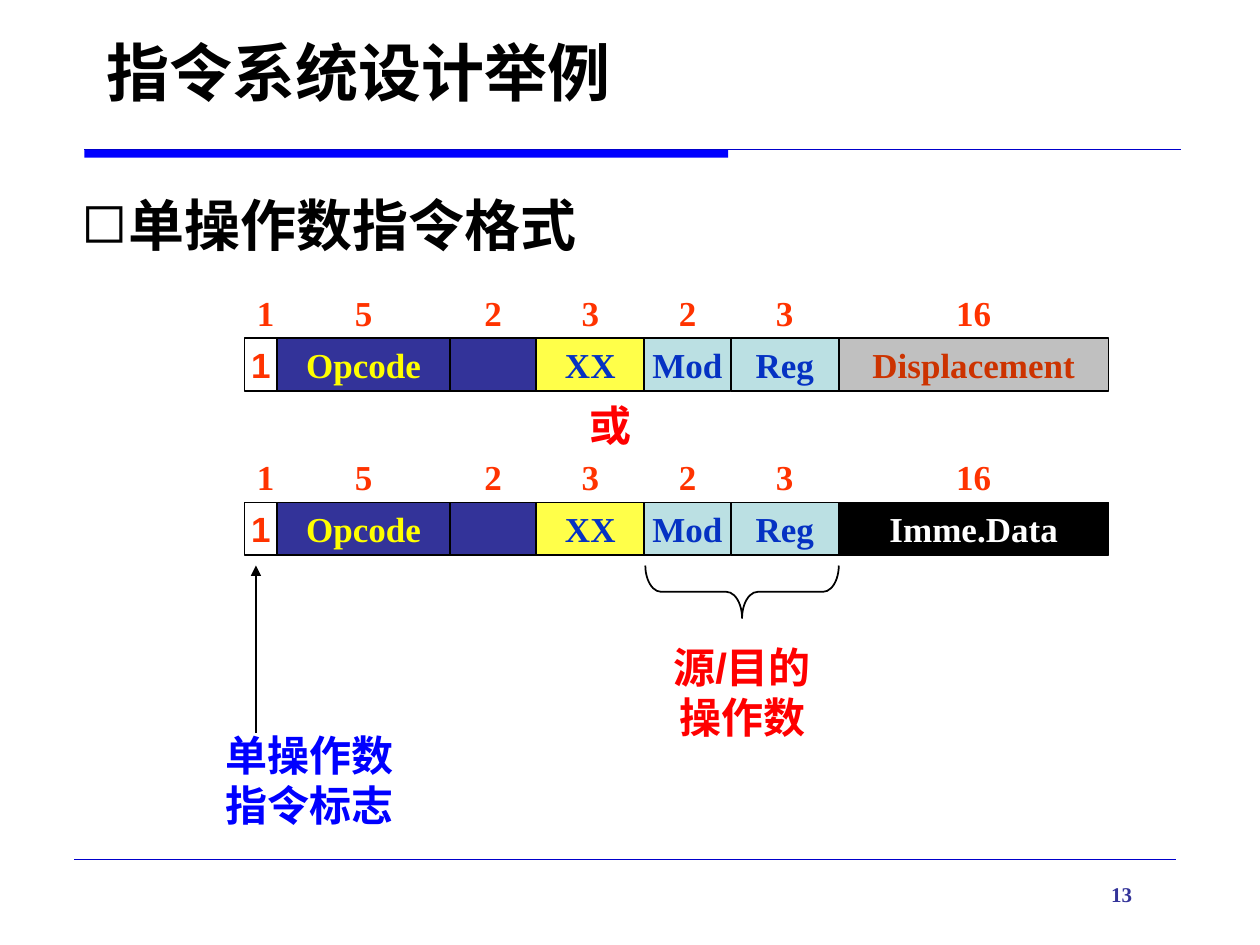
from itertools import accumulate

from lxml.etree import SubElement
from pptx import Presentation
from pptx.dml.color import RGBColor
from pptx.enum.shapes import MSO_CONNECTOR as Connector, MSO_SHAPE as Shape
from pptx.enum.text import MSO_ANCHOR as Anchor, MSO_AUTO_SIZE as AutoSize, PP_ALIGN as Align
from pptx.oxml.ns import qn
from pptx.util import Cm, Pt

BLACK = RGBColor(0x00, 0x00, 0x00)
WHITE = RGBColor(0xFF, 0xFF, 0xFF)
BLUE = RGBColor(0x00, 0x00, 0xFF)
RULE_BLUE = RGBColor(0x00, 0x00, 0xCC)
NAVY = RGBColor(0x33, 0x33, 0x99)
FIELD_BLUE = RGBColor(0x05, 0x32, 0xC3)
PALE_BLUE = RGBColor(0xBB, 0xE0, 0xE3)
YELLOW = RGBColor(0xFF, 0xFF, 0x00)
SOFT_YELLOW = RGBColor(0xFF, 0xFF, 0x49)
RED = RGBColor(0xFF, 0x00, 0x00)
ORANGE = RGBColor(0xFF, 0x33, 0x00)
RUST = RGBColor(0xCC, 0x33, 0x00)
GREY = RGBColor(0xC0, 0xC0, 0xC0)

SERIF = "Times New Roman"
SANS = "Arial"
ROW_HEIGHT = 1.06

COMMON_FIELDS = [
    (1, 0.66, "1", SANS, ORANGE, None),
    (5, 3.48, "Opcode", SERIF, YELLOW, NAVY),
    (2, 1.74, "", SERIF, YELLOW, NAVY),
    (3, 2.18, "XX", SERIF, FIELD_BLUE, SOFT_YELLOW),
    (2, 1.74, "Mod", SERIF, FIELD_BLUE, PALE_BLUE),
    (3, 2.18, "Reg", SERIF, FIELD_BLUE, PALE_BLUE),
]
DISPLACEMENT = (16, 5.44, "Displacement", SERIF, RUST, GREY)
IMMEDIATE = (16, 5.44, "Imme.Data", SERIF, WHITE, BLACK)


def add_text(paragraph, text, size, font, color, align=Align.LEFT):
    """Add one bold run to a paragraph."""
    paragraph.alignment = align
    run = paragraph.add_run()
    run.text = text
    run.font.size = Pt(size)
    run.font.name = font
    run.font.bold = True
    run.font.color.rgb = color


def add_label(shapes, box, lines, size, font, color, align=Align.CENTER):
    """Place a wrapping text box with one paragraph for each line."""
    frame = shapes.add_textbox(*map(Cm, box)).text_frame
    frame.word_wrap = True
    for index, line in enumerate(lines):
        paragraph = frame.add_paragraph() if index else frame.paragraphs[0]
        add_text(paragraph, line, size, font, color, align)
    return frame


def add_line(shapes, start, end, color, width):
    """Draw a straight line without a shadow and return its line element."""
    line = shapes.add_connector(Connector.STRAIGHT, *map(Cm, (*start, *end)))
    line.line.color.rgb = color
    line.line.width = Pt(width)
    SubElement(line._element.spPr, qn("a:effectLst"))
    return line.line._get_or_add_ln()


def fill_cell(cell, text, font, color):
    """Centre unwrapped text in a cell of the instruction format."""
    frame = cell.text_frame
    frame.word_wrap = False
    frame.vertical_anchor = Anchor.MIDDLE
    if text:
        add_text(frame.paragraphs[0], text, 20, font, color, Align.CENTER)


def add_outline(shapes, kind, box, fill):
    """Add a black-outlined shape, unfilled when fill is None."""
    shape = shapes.add_shape(kind, *map(Cm, box))
    shape.shadow.inherit = False
    shape.line.color.rgb = BLACK
    shape.line.width = Pt(1)
    if fill is None:
        shape.fill.background()
    else:
        shape.fill.solid()
        shape.fill.fore_color.rgb = fill
    return shape


def add_format(shapes, left, top, fields):
    """Draw bit counts above the row of fields they measure."""
    offsets = accumulate((field[1] for field in fields), initial=0)
    for offset, (bits, width, name, font, color, fill) in zip(offsets, fields):
        x = left + offset
        count = shapes.add_textbox(*map(Cm, (x, top, width, ROW_HEIGHT)))
        fill_cell(count, str(bits), SERIF, ORANGE)
        box = (x, top + ROW_HEIGHT, width, ROW_HEIGHT)
        fill_cell(add_outline(shapes, Shape.RECTANGLE, box, fill), name, font, color)


def add_notes(shapes, left, top):
    """Explain the operand fields and the flag bit below a format row."""
    brace = add_outline(shapes, Shape.LEFT_BRACE, (left + 9.5, top - 1.22, 1.06, 3.9), None)
    brace.rotation = 270
    brace.adjustments[0] = 0.3
    add_label(shapes, (left + 7.49, top + 1.6, 5.08, 2.31), ["源/目的", "操作数"], 24, SANS, RED)
    add_label(shapes, (left - 1.96, top + 3.38, 6.53, 2.29), ["单操作数", "指令标志"], 24, SANS, BLUE)
    x = left + 0.23
    arrow = add_line(shapes, (x, top + 3.58), (x, top + 0.2), BLACK, 1)
    SubElement(arrow, qn("a:tailEnd"), type="triangle")


def add_heading(slide, left, top, width):
    """Place the title and the two-weight rule beneath it."""
    title = slide.shapes.title
    title.left, title.top = Cm(left + 0.2), Cm(top)
    title.width, title.height = Cm(width + 0.4), Cm(1.78)
    frame = title.text_frame
    frame.vertical_anchor = Anchor.BOTTOM
    frame.auto_size = AutoSize.SHAPE_TO_FIT_TEXT
    add_text(frame.paragraphs[0], "指令系统设计举例", 36, SERIF, BLACK)
    rule_top = top + 2.48
    bar = slide.shapes.add_shape(
        Shape.RECTANGLE, *map(Cm, (left, rule_top, 12.98, 0.16)))
    bar.shadow.inherit = False
    bar.fill.solid()
    bar.fill.fore_color.rgb = BLUE
    bar.line.fill.background()
    add_line(slide.shapes, (left, rule_top), (left + width, rule_top), RULE_BLUE, 0.5)


def add_topic(shapes, box):
    """Place the bulleted topic line."""
    frame = shapes.add_textbox(*map(Cm, box)).text_frame
    frame.word_wrap = True
    frame.margin_top = Cm(0.38)
    paragraph = frame.paragraphs[0]
    paragraph.line_spacing = 0.95
    SubElement(paragraph._p.get_or_add_pPr(), qn("a:buChar"), char="◻")
    add_text(paragraph, "单操作数指令格式", 32, SERIF, BLACK)


def add_footer(shapes, left, top, width):
    """Draw the bottom rule and the page number."""
    add_line(shapes, (left, top), (left + width, top), RULE_BLUE, 0.25)
    add_label(shapes, (left + 20.65, top + 0.33, 1.27, 0.76), ["13"], 12, SERIF, NAVY, Align.LEFT)


def main():
    """Build and save the slide."""
    deck = Presentation()
    deck.slide_width, deck.slide_height = Cm(25.4), Cm(19.05)
    slide = deck.slides.add_slide(deck.slide_layouts[5])
    shapes = slide.shapes
    add_heading(slide, 1.7, 0.54, 22.1)
    add_footer(shapes, 1.5, 17.32, 22.2)
    add_topic(shapes, (1.4, 3.56, 21.49, 2.39))
    immediate = shapes.add_group_shape().shapes
    add_format(immediate, 4.93, 9.07, COMMON_FIELDS + [IMMEDIATE])
    add_notes(immediate, 4.93, 11.2)
    displacement = shapes.add_group_shape().shapes
    add_format(displacement, 4.93, 5.76, COMMON_FIELDS + [DISPLACEMENT])
    add_label(shapes, (10.13, 7.92, 4.37, 1.3), ["或"], 24, SANS, RED)
    deck.save("out.pptx")


if __name__ == "__main__":
    main()
